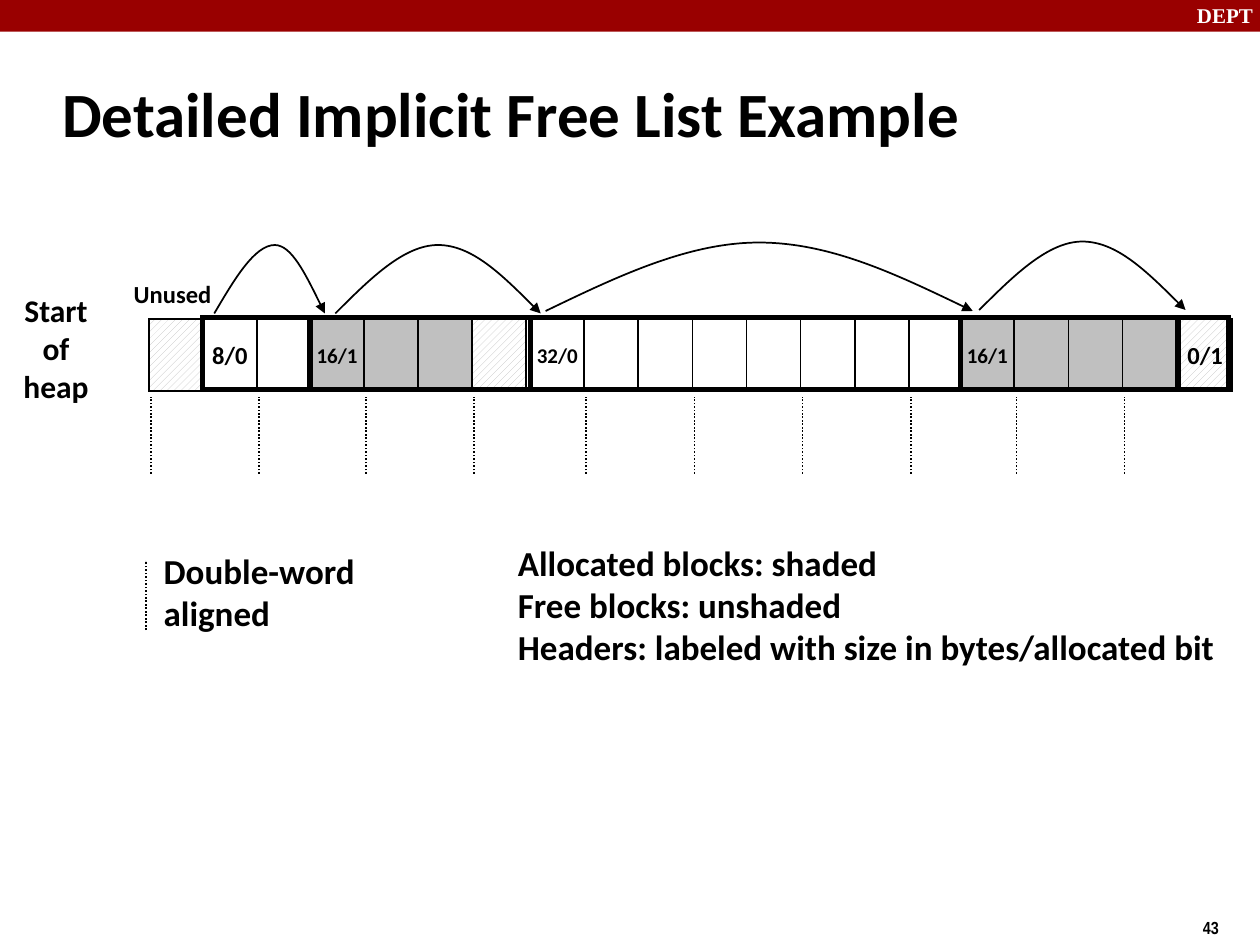
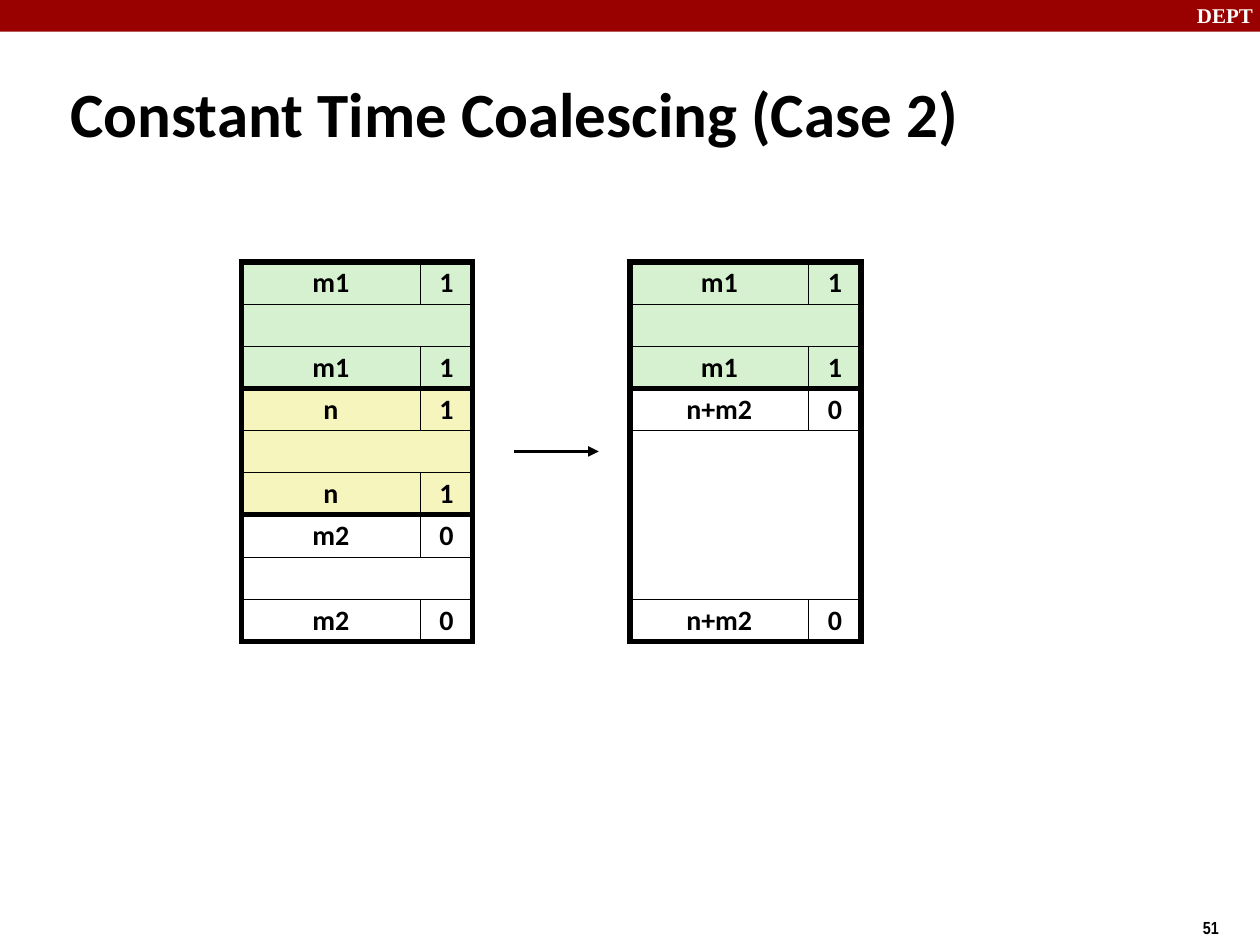
from dataclasses import dataclass
from itertools import pairwise

from lxml.etree import SubElement
from pptx import Presentation
from pptx.dml.color import RGBColor
from pptx.enum.dml import MSO_LINE_DASH_STYLE as Dash
from pptx.enum.dml import MSO_PATTERN_TYPE as Pattern
from pptx.enum.shapes import MSO_CONNECTOR_TYPE as Connector
from pptx.enum.shapes import MSO_SHAPE as Shape
from pptx.enum.text import MSO_ANCHOR as Anchor
from pptx.enum.text import MSO_AUTO_SIZE as AutoSize
from pptx.enum.text import PP_ALIGN as Align
from pptx.oxml.ns import qn
from pptx.util import Cm, Pt


@dataclass(frozen=True)
class Theme:
    black = RGBColor(0x00, 0x00, 0x00)
    white = RGBColor(0xFF, 0xFF, 0xFF)
    band = RGBColor(0x99, 0x00, 0x00)
    grey = RGBColor(0xC0, 0xC0, 0xC0)
    green = RGBColor(0xD5, 0xF1, 0xCF)
    yellow = RGBColor(0xF6, 0xF5, 0xBD)
    hatch = "hatch"
    font = "Calibri"
    band_font = "Times New Roman"
    number_font = "Arial Narrow"
    title_size = 36
    legend_size = 20
    side_size = 18
    field_size = 16
    label_size = 14
    small_size = 12
    number_size = 10
    hairline = 0.25
    thin = 1
    arrow = 2
    thick = 3


THEME = Theme()


class Painter:
    """Holds the deck, its theme and the slide being drawn."""

    def __init__(self, theme):
        self.theme = theme
        self.deck = Presentation()
        self.deck.slide_width, self.deck.slide_height = Cm(25.4), Cm(19.05)
        self.page = None

    def new_page(self, title, number, left, top, width, height):
        theme = self.theme
        self.page = self.deck.slides.add_slide(self.deck.slide_layouts[5])
        self.box(0, 0, 25.4, 0.64, fill=theme.band)
        self.text(["DEPT"], 23.88, -0.08, 1.7, 0.76, theme.small_size, anchor=Anchor.TOP,
                  font=theme.band_font, color=theme.white)
        self.text([str(number)], 24, 18.36, 1.9, 0.74, theme.number_size, anchor=Anchor.TOP,
                  font=theme.number_font)
        heading = self.page.shapes.title
        heading.left, heading.top = Cm(left), Cm(top)
        heading.width, heading.height = Cm(width), Cm(height)
        self.set_text(heading.text_frame, [title], theme.title_size)

    def set_text(self, frame, lines, size, align=Align.LEFT, anchor=Anchor.MIDDLE,
                 font=None, color=None, spacing=None):
        frame.text = "\n".join(lines)
        frame.auto_size = AutoSize.NONE
        frame.word_wrap = False
        frame.vertical_anchor = anchor
        for para in frame.paragraphs:
            para.alignment = align
            if spacing:
                para.line_spacing = spacing
            para.font.name = font or self.theme.font
            para.font.size = Pt(size)
            para.font.bold = True
            para.font.color.rgb = color or self.theme.black

    def text(self, lines, left, top, width, height, size, **style):
        area = self.page.shapes.add_textbox(Cm(left), Cm(top), Cm(width), Cm(height))
        self.set_text(area.text_frame, lines, size, **style)

    def box(self, left, top, width, height, fill=None, line=None,
            label=None, size=None, spacing=None):
        box = self.page.shapes.add_shape(Shape.RECTANGLE, Cm(left), Cm(top),
                                         Cm(width), Cm(height))
        box.shadow.inherit = False
        self.paint(box.fill, fill)
        if line:
            SubElement(self.outline(box, line), qn("a:miter"), lim="800000")
        else:
            box.line.fill.background()
        if label:
            self.set_text(box.text_frame, [label], size, Align.CENTER, spacing=spacing)

    def paint(self, fill, color):
        if color is None:
            fill.background()
        elif color == self.theme.hatch:
            fill.patterned()
            fill.pattern = Pattern.WIDE_UPWARD_DIAGONAL
            fill.fore_color.rgb = self.theme.grey
            fill.back_color.rgb = self.theme.white
        else:
            fill.solid()
            fill.fore_color.rgb = color

    def outline(self, shape, width, dash=None, arrow=False):
        """Style the line of a shape and return its XML element."""
        shape.line.color.rgb = self.theme.black
        shape.line.width = Pt(width)
        if dash:
            shape.line.dash_style = dash
        line = shape.element.spPr.find(qn("a:ln"))
        if arrow:
            SubElement(line, qn("a:tailEnd"), type="triangle")
        return line

    def line(self, x1, y1, x2, y2, width, **style):
        line = self.page.shapes.add_connector(Connector.STRAIGHT, Cm(x1), Cm(y1),
                                              Cm(x2), Cm(y2))
        self.outline(line, width, **style)
        SubElement(line.element.spPr, qn("a:effectLst"))

    def dotted(self, x, top, bottom):
        self.line(x, bottom, x, top, self.theme.thin, dash=Dash.ROUND_DOT)

    def arc(self, start, peak, end, base, height):
        """Draw a curved arrow that rises from start to peak and falls to end."""
        top, middle = base - height, base - height / 2
        rise, fall = (peak - start) / 3, (end - peak) / 3
        points = [(start + rise, middle), (peak - rise, top), (peak, top),
                  (peak + fall, top), (end - fall, middle), (end, base)]
        builder = self.page.shapes.build_freeform(Cm(start), Cm(base))
        builder.add_line_segments([(Cm(x), Cm(y)) for x, y in points], close=False)
        curve = builder.convert_to_shape()
        # Each three straight segments become one Bezier segment.
        segments = list(curve.element.iter(qn("a:lnTo")))
        outline = segments[0].getparent()
        for first in range(0, len(segments), 3):
            bezier = SubElement(outline, qn("a:cubicBezTo"))
            for segment in segments[first:first + 3]:
                bezier.append(segment[0])
                outline.remove(segment)
        curve.shadow.inherit = False
        curve.fill.background()
        self.outline(curve, self.theme.thin, arrow=True)


def draw_free_list(painter):
    theme = painter.theme
    painter.new_page("Detailed Implicit Free List Example", 43, 1, 1.22, 21.08, 2.1)
    painter.text(["Start", "of", "heap"], 0.18, 5.74, 1.9, 2.54, theme.side_size,
                 align=Align.CENTER)

    word, height, heap_top, heap_end = 1.09, 1.45, 6.43, 24.77
    shaded, free, hatch = theme.grey, theme.white, theme.hatch
    blocks = [  # left edge, header, header size, fill of each word
        (3, None, None, [hatch]),
        (4.09, "8/0", theme.label_size, [free] * 2),
        (6.25, "16/1", theme.small_size, [shaded] * 3 + [hatch]),
        (10.69, "32/0", theme.small_size, [free] * 8),
        (19.36, "16/1", theme.small_size, [shaded] * 4),
        (23.75, "0/1", theme.label_size, [hatch]),
    ]
    word_lefts = []
    for left, header, size, fills in blocks:
        for index, fill in enumerate(fills):
            word_lefts.append(left + index * word)
            painter.box(word_lefts[-1], heap_top, word, height, fill, theme.thin,
                        header if index == 0 else None, size)
    edges = [block[0] for block in blocks[1:]] + [heap_end]
    for left, right in pairwise(edges):
        painter.box(left, heap_top - 0.03, right - left, height, line=theme.thick)
    for left in word_lefts[::2]:
        painter.dotted(left + 0.04, 8, 9.55)

    painter.text(["Unused"], 2.44, 5.51, 2.08, 0.84, theme.label_size, align=Align.CENTER)
    for start, peak, end, base in [(4.32, 5.54, 6.55, 6.32), (6.76, 8.83, 10.9, 6.32),
                                   (11, 15.3, 19.61, 6.27), (19.74, 21.82, 23.9, 6.25)]:
        painter.arc(start, peak, end, base, 1.38)

    painter.dotted(2.95, 11.3, 12.7)
    painter.text(["Double-word", "aligned"], 3.05, 10.95, 5.18, 1.96, theme.legend_size)
    painter.text(["Allocated blocks: shaded", "Free blocks: unshaded",
                  "Headers: labeled with size in bytes/allocated bit"],
                 10.19, 10.8, 14.55, 2.8, theme.legend_size, anchor=Anchor.TOP)


def draw_memory(painter, left, top, blocks):
    """Stack blocks of (size, allocated bit, fill, rows between header and footer)."""
    theme = painter.theme
    row, size_width, bit_width = 0.85, 3.6, 1.06
    width = size_width + bit_width
    for size, bit, fill, body_rows in blocks:
        footer_top = top + (body_rows + 1) * row
        painter.box(left, top + row, width, body_rows * row, fill, theme.hairline)
        for tag_top in (top, footer_top):
            for x, tag_width, label in [(left, size_width, size),
                                        (left + size_width, bit_width, bit)]:
                painter.box(x, tag_top, tag_width, row, fill, theme.hairline,
                            label, theme.field_size, spacing=0.98)
        painter.box(left, top, width, footer_top + row - top, line=theme.thick)
        top = footer_top + row


def draw_coalescing(painter):
    theme = painter.theme
    painter.new_page("Constant Time Coalescing (Case 2)", 51, 1.17, 1.47, 23.06, 1.6)
    top = 5.28
    previous = ("m1", "1", theme.green, 1)
    draw_memory(painter, 4.87, top, [previous, ("n", "1", theme.yellow, 1),
                                     ("m2", "0", theme.white, 1)])
    draw_memory(painter, 12.7, top, [previous, ("n+m2", "0", theme.white, 4)])
    painter.line(10.36, 9.1, 12.07, 9.1, theme.arrow, arrow=True)


def main():
    painter = Painter(THEME)
    draw_free_list(painter)
    draw_coalescing(painter)
    painter.deck.save("out.pptx")


if __name__ == "__main__":
    main()
